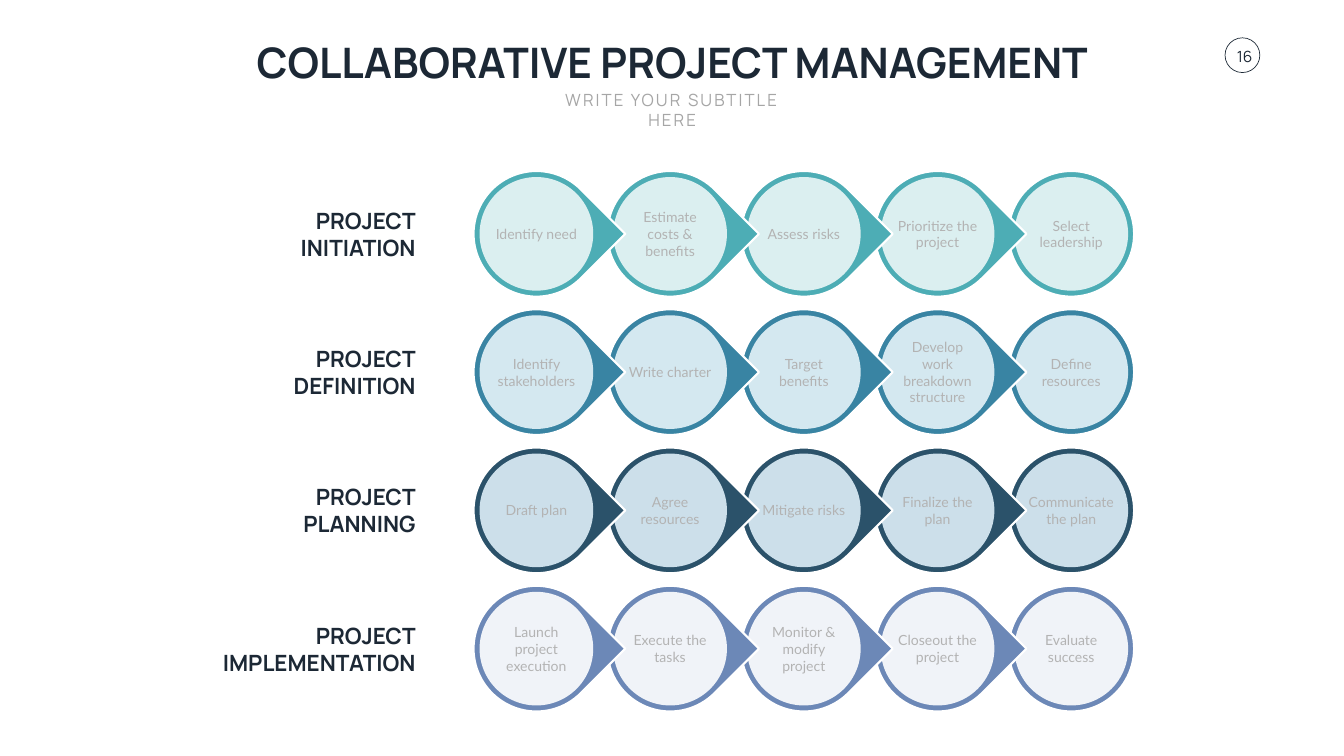
from dataclasses import dataclass
from typing import Any

from pptx import Presentation
from pptx.dml.color import RGBColor
from pptx.enum.shapes import MSO_SHAPE
from pptx.enum.text import MSO_ANCHOR, MSO_AUTO_SIZE, PP_ALIGN
from pptx.util import Inches, Pt

INK = RGBColor(0x1C, 0x28, 0x35)
GREY = RGBColor(0xA6, 0xA6, 0xA6)
STEP_GREY = RGBColor(0xB3, 0xB3, 0xB3)
WHITE = RGBColor(0xFF, 0xFF, 0xFF)
TEAL, PALE_TEAL = RGBColor(0x4D, 0xAD, 0xB5), RGBColor(0xDB, 0xEF, 0xF0)
BLUE, PALE_BLUE = RGBColor(0x39, 0x84, 0xA3), RGBColor(0xD4, 0xE8, 0xF0)
NAVY, PALE_NAVY = RGBColor(0x2B, 0x52, 0x6A), RGBColor(0xCC, 0xDF, 0xEA)
VIOLET, PALE_VIOLET = RGBColor(0x6C, 0x88, 0xB7), RGBColor(0xF0, 0xF3, 0xF8)

# Grid of steps: centre of the first cell and distance between cells
FIRST_X, FIRST_Y = Inches(10.64), Inches(4.64)
COLUMN, ROW = Inches(10.61 / 4), Inches(8.23 / 3)

RING, DISC, STEP_WIDTH = 0.94, 0.85, 0.71  # in columns
WIDE_STEPS = {"Communicate the plan"}

PHASES = [
    ("INITIATION", TEAL, PALE_TEAL,
     ["Identify need", "Estimate costs & benefits", "Assess risks",
      "Prioritize the project", "Select leadership"]),
    ("DEFINITION", BLUE, PALE_BLUE,
     ["Identify stakeholders", "Write charter", "Target benefits",
      "Develop work breakdown structure", "Define resources"]),
    ("PLANNING", NAVY, PALE_NAVY,
     ["Draft plan", "Agree resources", "Mitigate risks",
      "Finalize the plan", "Communicate the plan"]),
    ("IMPLEMENTATION", VIOLET, PALE_VIOLET,
     ["Launch project execution", "Execute the tasks",
      "Monitor & modify project", "Closeout the project",
      "Evaluate success"]),
]


def cell_box(column, row, width, height):
    """Frame centred on a grid cell; width and height are in columns."""
    width, height = int(width * COLUMN), int(height * COLUMN)
    left = int(FIRST_X + column * COLUMN - width / 2)
    top = int(FIRST_Y + row * ROW - height / 2)
    return left, top, width, height


@dataclass
class PhaseSlide:
    deck: Any
    page: Any
    heading_font: str = "Manrope"
    body_font: str = "Lato"

    def share(self, left, top, width, height):
        """Frame given in percent of the slide's width and height."""
        across, down = self.deck.slide_width / 100, self.deck.slide_height / 100
        return (int(left * across), int(top * down),
                int(width * across), int(height * down))

    def set_text(self, box, text, size, color, font, align=PP_ALIGN.CENTER,
                 anchor=MSO_ANCHOR.MIDDLE, bold=False, wrap=True, tracking=0):
        frame = box.text_frame
        frame.text = text
        frame.word_wrap = wrap
        frame.auto_size = MSO_AUTO_SIZE.NONE
        frame.vertical_anchor = anchor
        for para in frame.paragraphs:
            para.alignment = align
            para.space_before = Pt(0)
            para.line_spacing = 1.0
            para.font.name = font
            para.font.size = Pt(size)
            para.font.bold = bold
            para.font.color.rgb = color
            if tracking:
                para.font._rPr.set("spc", str(tracking * 100))

    def heading(self, box, text, frame, size, color, **style):
        box.left, box.top, box.width, box.height = self.share(*frame)
        self.set_text(box, text, size, color, self.heading_font,
                      anchor=MSO_ANCHOR.TOP, **style)

    def page_number(self, text):
        badge = self.shape(self.page.shapes, MSO_SHAPE.OVAL,
                           self.share(91.15, 5, 2.59, 4.6))
        badge.line.color.rgb = INK
        badge.line.width = Pt(1)
        self.set_text(badge, text, 22, INK, self.heading_font, wrap=False)
        frame = badge.text_frame
        frame.margin_left, frame.margin_top = Inches(0.09), Inches(0.05)
        frame.margin_right = frame.margin_bottom = 0

    def shape(self, shapes, kind, frame, fill=None):
        shape = shapes.add_shape(kind, *frame)
        shape.shadow.inherit = False
        if fill is None:
            shape.fill.background()
        else:
            shape.fill.solid()
            shape.fill.fore_color.rgb = fill
        shape.line.fill.background()
        return shape

    def phase_label(self, row, name):
        box = self.page.shapes.add_textbox(*cell_box(-1.65, row, 1.57, 0.44))
        self.set_text(box, f"PROJECT\n{name}", 32, INK, self.heading_font,
                      align=PP_ALIGN.RIGHT, bold=True, wrap=False)

    def step_chain(self, row, color, pale, steps):
        """Overlapping drops, drawn from the right so each tip lies on top."""
        group = self.page.shapes.add_group_shape().shapes
        last = len(steps) - 1
        for column in range(last, -1, -1):
            kind = MSO_SHAPE.OVAL if column == last else MSO_SHAPE.TEAR
            ring = self.shape(group, kind, cell_box(column, row, RING, RING), color)
            ring.line.color.rgb = WHITE
            ring.line.width = Pt(3)
            if column < last:
                ring.rotation = 45
            self.shape(group, MSO_SHAPE.OVAL, cell_box(column, row, DISC, DISC), pale)
        for column, step in enumerate(steps):
            width = DISC if step in WIDE_STEPS else STEP_WIDTH
            box = group.add_textbox(*cell_box(column, row, width, 0.42))
            self.set_text(box, step, 20, STEP_GREY, self.body_font)


def main():
    deck = Presentation()
    deck.slide_width, deck.slide_height = Inches(26.66), Inches(15)
    page = deck.slides.add_slide(deck.slide_layouts[0])
    slide = PhaseSlide(deck, page)

    slide.heading(page.shapes.title, "COLLABORATIVE PROJECT MANAGEMENT",
                  (17.37, 4.47, 65.3, 7.4), 60, INK, bold=True, wrap=False)
    slide.heading(page.placeholders[1], "WRITE YOUR SUBTITLE HERE",
                  (39.83, 11.47, 20.37, 5.9), 24, GREY, tracking=3)
    slide.page_number("16")

    for row, (name, color, pale, steps) in enumerate(PHASES):
        slide.phase_label(row, name)
        slide.step_chain(row, color, pale, steps)

    deck.save("out.pptx")


if __name__ == "__main__":
    main()
